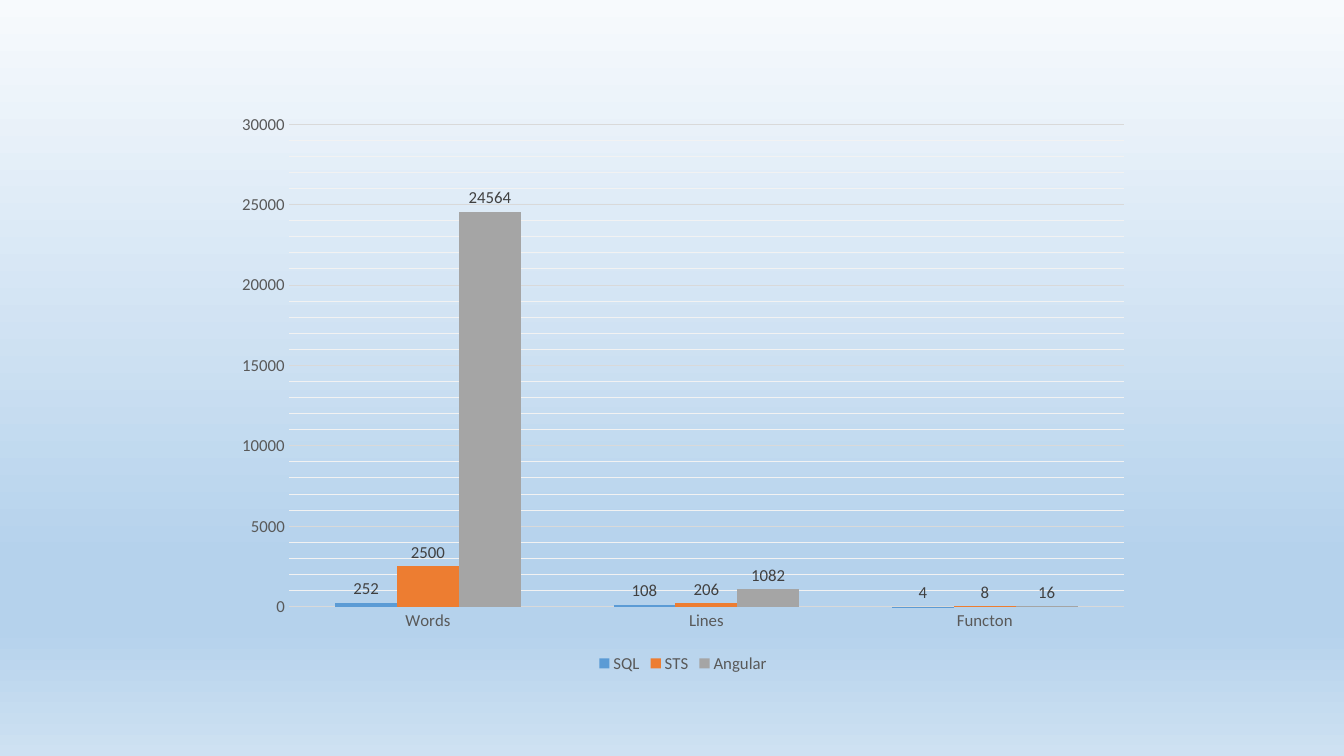
"""Build a slide with a clustered column chart of code size by technology."""
from copy import deepcopy

from pptx import Presentation
from pptx.chart.data import CategoryChartData
from pptx.dml.color import RGBColor
from pptx.enum.chart import (
    XL_CHART_TYPE, XL_LABEL_POSITION, XL_LEGEND_POSITION, XL_TICK_MARK)
from pptx.util import Inches, Pt

COLUMN_CLUSTERED = XL_CHART_TYPE.COLUMN_CLUSTERED
OUTSIDE_END = XL_LABEL_POSITION.OUTSIDE_END
LEGEND_BOTTOM = XL_LEGEND_POSITION.BOTTOM
NO_TICK = XL_TICK_MARK.NONE

FONT = "Calibri"
BLANK_LAYOUT = 6
COLORS = {
    "sky_top": "F7FAFD",
    "sky_deep": "B5D2EC",
    "sky_bottom": "CEE1F2",
    "axis_text": "595959",
    "label_text": "404040",
    "major_grid": "D9D9D9",
    "minor_grid": "F2F2F2",
    "SQL": "5B9BD5",
    "STS": "ED7D31",
    "Angular": "A5A5A5",
}
BACKGROUND_STOPS = [
    (0, "sky_top"), (0.74, "sky_deep"), (0.83, "sky_deep"), (1, "sky_bottom")]
CATEGORIES = ["Words", "Lines", "Functon"]
CODE_SIZES = {
    "SQL": (252, 108, 4),
    "STS": (2500, 206, 8),
    "Angular": (24564, 1082, 16),
}


def color(name):
    """Return the named colour."""
    return RGBColor.from_string(COLORS[name])


def format_font(font, size=12, color_name="axis_text"):
    """Set the typeface, size and colour of a font."""
    font.name = FONT
    font.size = Pt(size)
    font.bold = False
    font.color.rgb = color(color_name)


def paint_background(slide):
    """Fill the slide background with a vertical gradient."""
    fill = slide.background.fill
    fill.gradient()
    fill.gradient_angle = 270
    stop_list = slide.element.xpath(".//a:gsLst")[0]
    while len(stop_list) < len(BACKGROUND_STOPS):
        stop_list.append(deepcopy(stop_list[0]))
    for stop, (position, color_name) in zip(fill.gradient_stops, BACKGROUND_STOPS):
        stop.position = position
        stop.color.rgb = color(color_name)


def format_gridlines(chart):
    """Draw thin major and minor gridlines on the value axis."""
    value_axis = chart.value_axis
    value_axis.has_major_gridlines = True
    value_axis.has_minor_gridlines = True
    line = value_axis.major_gridlines.format.line
    line.width = Pt(0.75)
    line.color.rgb = color("minor_grid")
    major_style = chart.element.xpath(".//c:majorGridlines/c:spPr")[0]
    minor_gridlines = chart.element.xpath(".//c:minorGridlines")[0]
    minor_gridlines.append(deepcopy(major_style))
    line.color.rgb = color("major_grid")


def format_axes(chart):
    """Style both axes and set the value scale."""
    for axis in (chart.category_axis, chart.value_axis):
        axis.major_tick_mark = NO_TICK
        axis.minor_tick_mark = NO_TICK
        axis.format.line.fill.background()
        format_font(axis.tick_labels.font)
    value_axis = chart.value_axis
    value_axis.minimum_scale = 0
    value_axis.maximum_scale = 30000
    value_axis.major_unit = 5000
    value_axis.minor_unit = 1000
    format_gridlines(chart)


def format_series(series):
    """Colour a series and show its values above the columns."""
    series.format.fill.solid()
    series.format.fill.fore_color.rgb = color(series.name)
    series.invert_if_negative = False
    labels = series.data_labels
    labels.show_value = True
    labels.position = OUTSIDE_END
    format_font(labels.font, color_name="label_text")


def add_code_size_chart(slide, left, top, width, height):
    """Place the column chart in the given box."""
    data = CategoryChartData()
    data.categories = CATEGORIES
    for name, values in CODE_SIZES.items():
        data.add_series(name, values)
    chart = slide.shapes.add_chart(
        COLUMN_CLUSTERED, left, top, width, height, data).chart
    chart.has_title = False
    chart.font.name = FONT
    chart.font.size = Pt(10)
    chart.has_legend = True
    chart.legend.position = LEGEND_BOTTOM
    chart.legend.include_in_layout = False
    format_font(chart.legend.font)
    format_axes(chart)
    plot = chart.plots[0]
    plot.gap_width = 150
    plot.overlap = 0
    plot.vary_by_categories = False
    for series in plot.series:
        format_series(series)


def main():
    """Create the presentation and save it."""
    presentation = Presentation()
    presentation.slide_width = Inches(13.33)
    presentation.slide_height = Inches(7.5)
    slide = presentation.slides.add_slide(presentation.slide_layouts[BLANK_LAYOUT])
    paint_background(slide)
    add_code_size_chart(slide, Inches(2.22), Inches(1.02), Inches(9.11), Inches(5.7))
    presentation.save("out.pptx")


if __name__ == "__main__":
    main()
